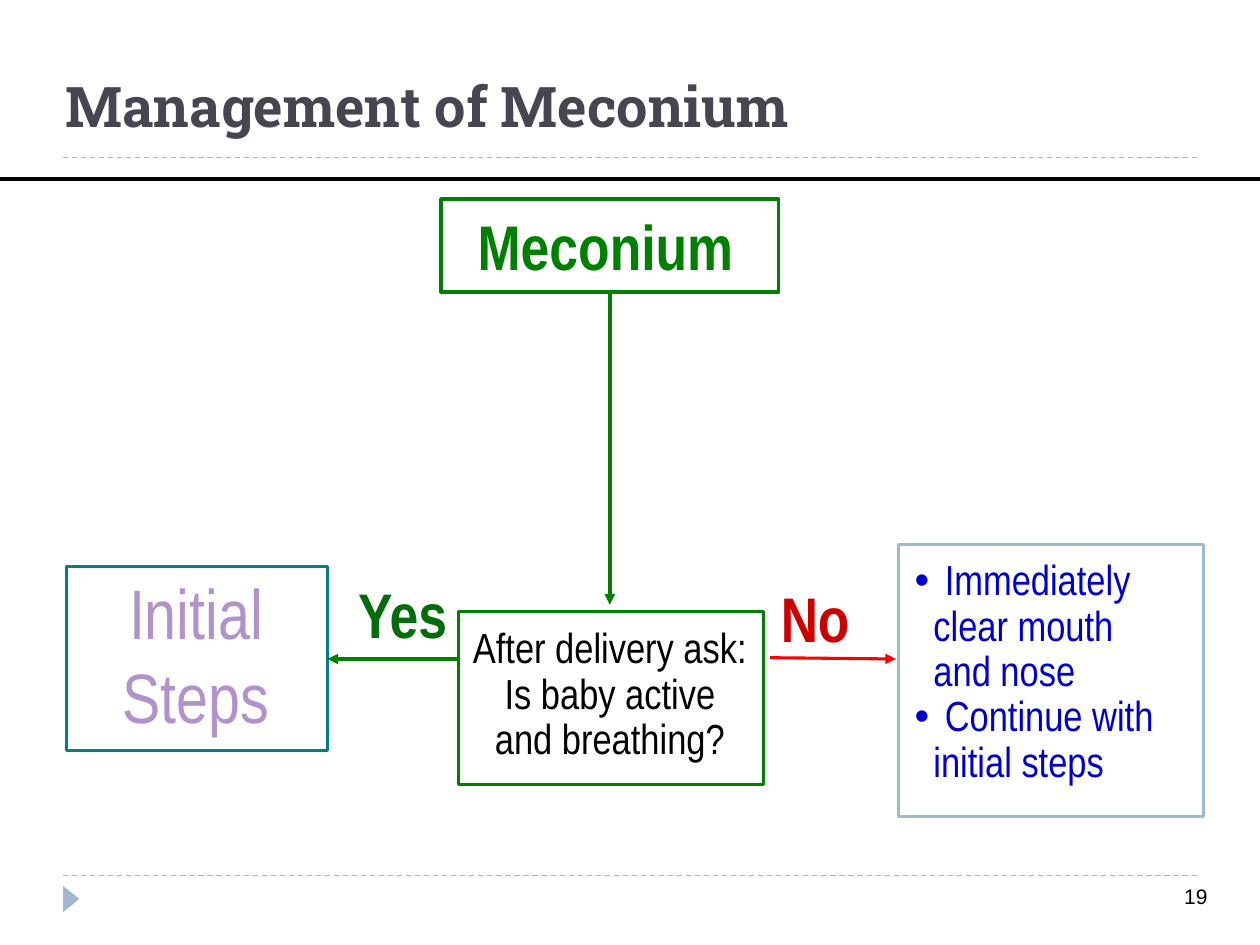
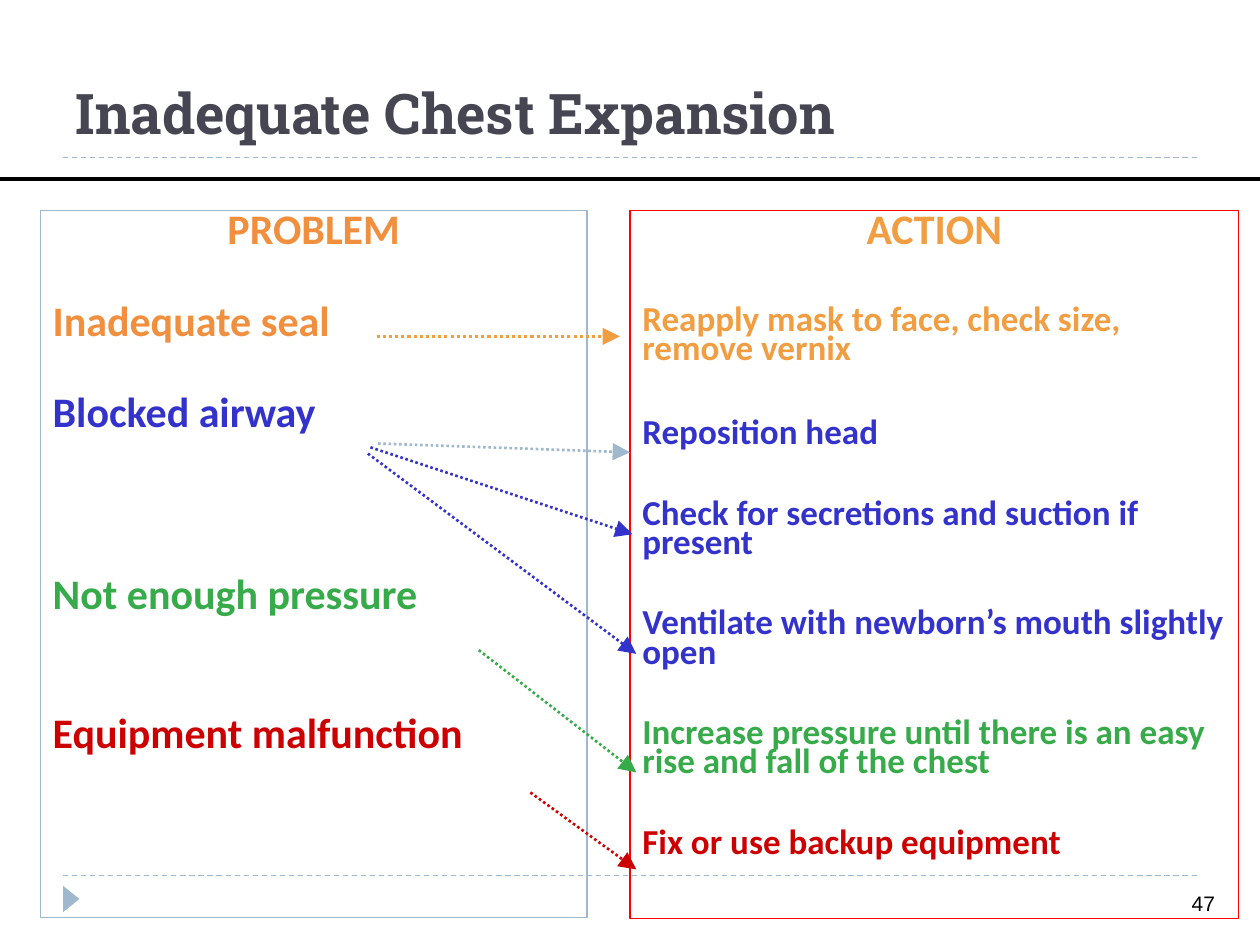
from typing import NamedTuple

import pptx
import pptx.dml.color
import pptx.enum.dml
import pptx.enum.shapes
import pptx.enum.text
import pptx.oxml.ns
import pptx.util
from lxml import etree

PX = 9144  # 100 px to the inch

INK = "464653"
MIST = "9FB8CD"
BLACK = "000000"
GREEN = "008000"
DARK_GREEN = "056B0B"
TEAL = "008080"
LILAC = "B292CA"
PURE_RED = "FF0000"
RED = "CC0000"
BLUE = "0000CC"
INDIGO = "3333CC"
LEAF = "37AB4A"
ORANGE = "F08F3E"
AMBER = "F19D41"

TITLE_FONT = "Roboto Slab"
FLOW_FONT = "Arial Narrow"
LIST_FONT = "Calibri"

DASH = pptx.enum.dml.MSO_LINE.DASH
DOTS = pptx.enum.dml.MSO_LINE.ROUND_DOT
LEFT = pptx.enum.text.PP_ALIGN.LEFT
CENTER = pptx.enum.text.PP_ALIGN.CENTER
TOP = pptx.enum.text.MSO_ANCHOR.TOP
MIDDLE = pptx.enum.text.MSO_ANCHOR.MIDDLE
BOTTOM = pptx.enum.text.MSO_ANCHOR.BOTTOM
RECTANGLE = pptx.enum.shapes.MSO_SHAPE.RECTANGLE
TRIANGLE = pptx.enum.shapes.MSO_SHAPE.ISOSCELES_TRIANGLE


class Area(NamedTuple):
    left: int
    top: int
    width: int
    height: int


class Link(NamedTuple):
    start: tuple[int, int]
    end: tuple[int, int]
    color: str
    weight: float
    dash: object = None
    arrow: str = "med"


class Entry(NamedTuple):
    text: str
    color: str
    size: int = 24
    before: int = 0
    spacing: float = 0.7


class Label(NamedTuple):
    area: Area
    lines: list[str]
    color: str
    size: int = 36
    bold: bool = True
    wrap: bool = False
    spacing: float = 1.0


PROBLEMS = [
    Entry("PROBLEM", ORANGE),
    Entry("Inadequate seal", ORANGE, before=32),
    Entry("Blocked airway", INDIGO, before=32),
    Entry("Not enough pressure", LEAF, before=84),
    Entry("Equipment malfunction", RED, before=59),
]
ACTIONS = [
    Entry("ACTION", AMBER),
    Entry("Reapply mask to face, check size, remove vernix", AMBER, 20, 32),
    Entry("Reposition head", INDIGO, 20, 29, 0.8),
    Entry("Check for secretions and suction if present", INDIGO, 20, 29),
    Entry("Ventilate with newborn’s mouth slightly open", INDIGO, 20, 29),
    Entry("Increase pressure until there is an easy rise and fall of the chest", LEAF, 20, 29),
    Entry("Fix or use backup equipment", RED, 20, 29),
]
REMEDIES = [
    Link((299, 267), (492, 267), AMBER, 1.75, DOTS, "lg"),
    Link((300, 352), (500, 359), MIST, 1.5, DOTS, "lg"),
    Link((294, 355), (502, 424), INDIGO, 1.5, DOTS, "lg"),
    Link((292, 360), (505, 519), INDIGO, 1.5, DOTS, "lg"),
    Link((380, 516), (505, 613), LEAF, 1.5, DOTS, "lg"),
    Link((421, 629), (505, 690), RED, 1.5, DOTS, "lg"),
]
FLOW_LABELS = [
    Label(Area(365, 160, 231, 70), ["Meconium"], GREEN),
    Label(Area(360, 493, 248, 118),
          ["After delivery ask:", "Is baby active", "and breathing?"],
          BLACK, size=24, bold=False, spacing=0.9),
    Label(Area(269, 452, 101, 70), ["Yes"], DARK_GREEN),
    Label(Area(602, 455, 90, 70), ["No"], RED),
    Label(Area(46, 447, 219, 144), ["Initial Steps"], LILAC, size=40, bold=False, wrap=True),
]
# Each line of the advice, and whether it opens a bullet
ADVICE = [
    ("Immediately", True),
    ("clear mouth", False),
    ("and nose", False),
    ("Continue with", True),
    ("initial steps", False),
]


def rgb(color: str):
    return pptx.dml.color.RGBColor.from_string(color)


def scaled(values) -> list[int]:
    return [value * PX for value in values]


def add_xml(parent, tag: str, **attributes: str):
    return etree.SubElement(parent, pptx.oxml.ns.qn(tag), attributes)


def write(frame, text: str, *, size: int, font: str, color: str, bold: bool = False,
          align=LEFT, spacing: float = 1.0, before: int = 0, indent: int = 0,
          bullet: bool = False) -> None:
    """Fill the first empty paragraph of the frame, or add one."""
    para = frame.paragraphs[0] if not frame.text else frame.add_paragraph()
    para.alignment = align
    para.line_spacing = spacing
    para.space_before = pptx.util.Pt(before)
    properties = para._p.get_or_add_pPr()
    if indent:
        properties.set("marL", str(indent * PX))
        properties.set("indent", str(-indent * PX if bullet else 0))
    if bullet:
        add_xml(add_xml(properties, "a:buClr"), "a:srgbClr", val=color)
        add_xml(properties, "a:buFont", typeface="Arial")
        add_xml(properties, "a:buChar", char="•")
    span = para.add_run()
    span.text = text
    span.font.name = font
    span.font.size = pptx.util.Pt(size)
    span.font.bold = bold
    span.font.color.rgb = rgb(color)


def add_text_box(page, area: Area, wrap: bool = False, anchor=MIDDLE):
    frame = page.shapes.add_textbox(*scaled(area)).text_frame
    frame.word_wrap = wrap
    frame.vertical_anchor = anchor
    frame.auto_size = pptx.enum.text.MSO_AUTO_SIZE.SHAPE_TO_FIT_TEXT
    return frame


def add_outline(page, area: Area, color: str, weight: float):
    box = page.shapes.add_shape(RECTANGLE, *scaled(area))
    box.shadow.inherit = False
    box.fill.background()
    box.line.color.rgb = rgb(color)
    box.line.width = pptx.util.Pt(weight)
    return box


def add_link(page, link: Link):
    """Draw a straight line; its arrow is a head size, or empty for none."""
    connector = page.shapes.add_connector(
        pptx.enum.shapes.MSO_CONNECTOR.STRAIGHT, *scaled(link.start + link.end))
    connector.line.color.rgb = rgb(link.color)
    connector.line.width = pptx.util.Pt(link.weight)
    if link.dash is not None:
        connector.line.dash_style = link.dash
    properties = connector._element.spPr
    if link.arrow:
        add_xml(properties.find(pptx.oxml.ns.qn("a:ln")), "a:tailEnd",
                type="triangle", w=link.arrow, len=link.arrow)
    add_xml(properties, "a:effectLst")
    return connector


def add_page(deck, title: str, title_area: Area, number: str, number_area: Area):
    """Add a slide with its title, rules, corner marker and page number."""
    page = deck.slides.add_slide(deck.slide_layouts[5])
    heading = page.shapes.title
    heading.left, heading.top, heading.width, heading.height = scaled(title_area)
    heading.text_frame.vertical_anchor = BOTTOM
    heading.text_frame.auto_size = pptx.enum.text.MSO_AUTO_SIZE.NONE
    write(heading.text_frame, title, size=32, font=TITLE_FONT, color=INK, bold=True)

    for height in (695, 125):
        add_link(page, Link((50, height), (950, height), MIST, 0.75, DASH, arrow=""))
    add_link(page, Link((0, 142), (1000, 142), BLACK, 2.25, arrow=""))
    marker = page.shapes.add_shape(TRIANGLE, *scaled(Area(46, 707, 21, 13)))
    marker.rotation = 90
    marker.shadow.inherit = False
    marker.fill.solid()
    marker.fill.fore_color.rgb = rgb(MIST)
    marker.line.fill.background()

    write(add_text_box(page, number_area, anchor=TOP), number,
          size=12, font="Arial", color=BLACK)
    return page


def add_column(page, area: Area, color: str, entries: list[Entry]) -> None:
    """Draw an outlined list whose first entry is a centred heading."""
    frame = add_outline(page, area, color, 0.75).text_frame
    frame.word_wrap = True
    frame.vertical_anchor = TOP
    for position, entry in enumerate(entries):
        write(frame, entry.text, size=entry.size, font=LIST_FONT, color=entry.color,
              bold=True, align=LEFT if position else CENTER,
              spacing=entry.spacing, before=entry.before)


def build_meconium_page(deck) -> None:
    page = add_page(deck, "Management of Meconium", Area(42, 25, 900, 90),
                    "19", Area(930, 696, 50, 30))
    meconium = add_outline(page, Area(350, 158, 268, 74), GREEN, 2)
    initial_steps = add_outline(page, Area(53, 450, 207, 146), TEAL, 1.75)
    add_outline(page, Area(713, 432, 242, 216), MIST, 1.75)
    add_outline(page, Area(364, 485, 242, 138), GREEN, 1.75)

    down = add_link(page, Link((484, 232), (484, 480), GREEN, 2))
    down.begin_connect(meconium, 2)
    yes = add_link(page, Link((363, 523), (260, 523), GREEN, 1.75))
    yes.end_connect(initial_steps, 3)
    add_link(page, Link((611, 522), (711, 523), PURE_RED, 1.75))

    for label in FLOW_LABELS:
        frame = add_text_box(page, label.area, label.wrap)
        for line in label.lines:
            write(frame, line, size=label.size, font=FLOW_FONT, color=label.color,
                  bold=label.bold, align=CENTER, spacing=label.spacing)
    advice = add_text_box(page, Area(716, 439, 319, 190), wrap=True)
    for line, bullet in ADVICE:
        write(advice, line, size=24, font=FLOW_FONT, color=BLUE, spacing=0.9,
              indent=24 if bullet else 15, bullet=bullet)


def build_chest_page(deck) -> None:
    page = add_page(deck, "Inadequate Chest Expansion", Area(50, 21, 900, 100),
                    "47", Area(936, 702, 50, 30))
    add_column(page, Area(32, 167, 434, 561), MIST, PROBLEMS)
    add_column(page, Area(500, 167, 483, 562), PURE_RED, ACTIONS)
    for link in REMEDIES:
        add_link(page, link)


def main() -> None:
    deck = pptx.Presentation()
    deck.slide_width, deck.slide_height = scaled((1000, 750))
    build_meconium_page(deck)
    build_chest_page(deck)
    deck.save("out.pptx")


if __name__ == "__main__":
    main()
